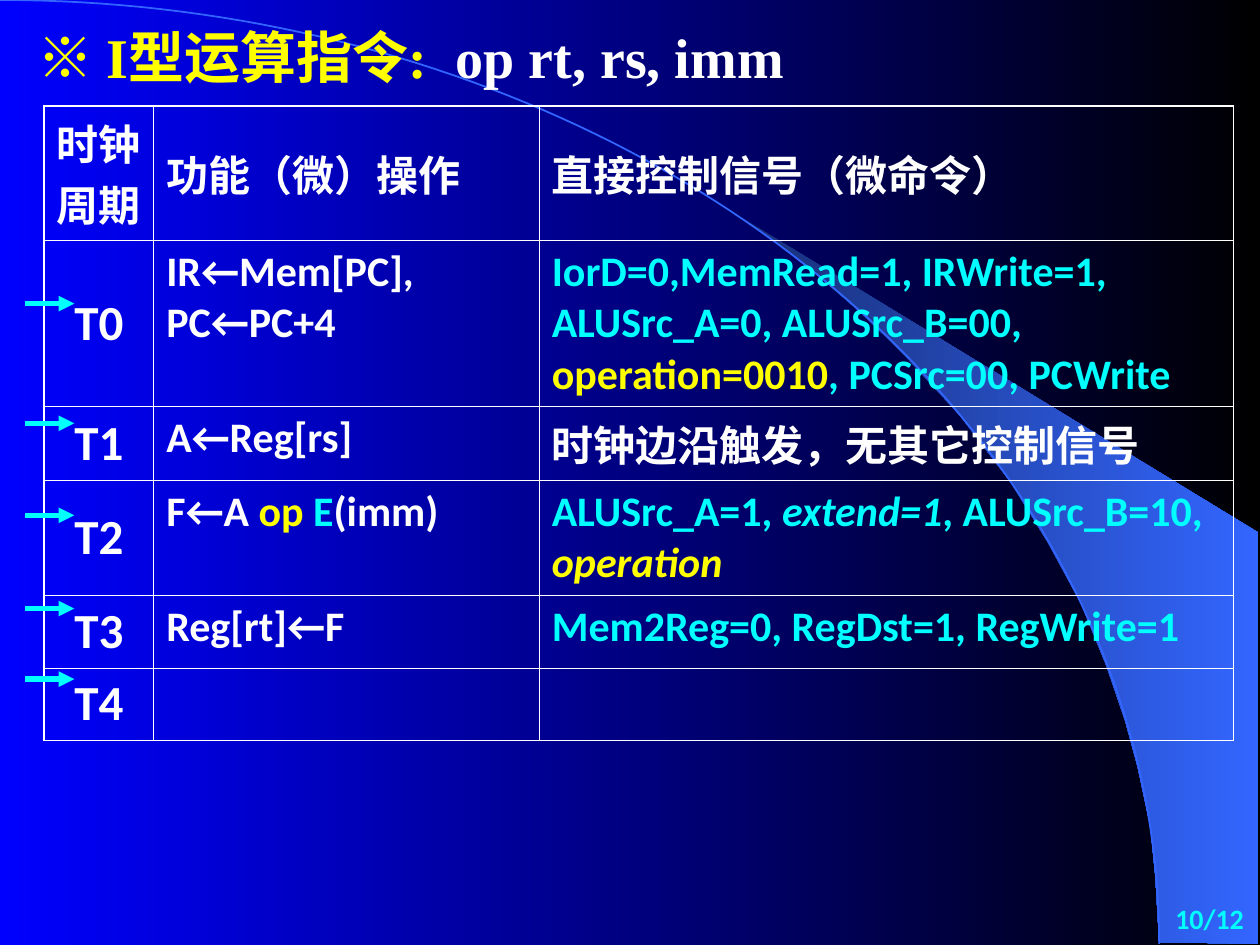
import math

from lxml import etree
from pptx import Presentation
from pptx.dml.color import RGBColor
from pptx.enum import shapes, text
from pptx.oxml.ns import qn
from pptx.util import Inches, Pt

WHITE = RGBColor(255, 255, 255)
CYAN = RGBColor(0, 255, 255)
YELLOW = RGBColor(255, 255, 0)
BLUE = RGBColor(0, 0, 255)
BLACK = RGBColor(0, 0, 0)
NAVY = RGBColor(0x18, 0x2F, 0x76)
AZURE = RGBColor(0x33, 0x66, 0xFF)
SERIF, SANS, CJK = "Times New Roman", "Calibri", "Noto Sans CJK SC"

COLUMNS = [0.87, 3.06, 5.51]
ROWS = [0.9, 1.3, 0.57, 0.9, 0.57, 0.57]
ARROW_HEIGHTS = [2.41, 3.36, 4.09, 4.83, 5.39]
ARC_WIDTH, ARC_HEIGHT = 9.2, 7.49
WEDGE = [(9.2, 7.48), (9.99, 7.49), (9.99, 4.23), (5.89, 1.73), (6.24, 1.99),
         (6.53, 2.22), (6.85, 2.5), (7.16, 2.8), (7.62, 3.3), (8.03, 3.84),
         (8.32, 4.31), (8.58, 4.79), (8.78, 5.28), (8.93, 5.72), (9.03, 6.09),
         (9.13, 6.56), (9.17, 6.96)]

# Each cell is a list of spans: (wording, colour, italic)
HEADER = [[("时钟周期", WHITE, False)], [("功能（微）操作", WHITE, False)],
          [("直接控制信号（微命令）", WHITE, False)]]
STEPS = [
    ([("IR←Mem[PC], PC←PC+4", WHITE, False)],
     [("IorD=0,MemRead=1, IRWrite=1, ALUSrc_A=0, ALUSrc_B=00, ", CYAN, False),
      ("operation=0010", YELLOW, False), (", PCSrc=00, PCWrite", CYAN, False)]),
    ([("A←Reg[rs]", WHITE, False)],
     [("时钟边沿触发，无其它控制信号", WHITE, False)]),
    ([("F←A ", WHITE, False), ("op ", YELLOW, False), ("E", CYAN, False),
      ("(imm)", WHITE, False)],
     [("ALUSrc_A=1, ", CYAN, False), ("extend=1", CYAN, True),
      (", ALUSrc_B=10, ", CYAN, False), ("operation", YELLOW, True)]),
    ([("Reg[rt]←F", WHITE, False)],
     [("Mem2Reg=0, RegDst=1, RegWrite=1", CYAN, False)]),
    ([], []),
]


def set_gradient(fill, first, last):
    """Fill from left to right with two colours."""
    fill.gradient()
    fill.gradient_angle = 0
    for stop, colour in zip(fill.gradient_stops, (first, last)):
        stop.color.rgb = colour


def set_borders(cell, widths):
    """Draw white left, right, top and bottom borders of the given widths."""
    properties = cell._tc.get_or_add_tcPr()
    for side, width in zip("LRTB", widths):
        line = etree.SubElement(properties, qn(f"a:ln{side}"), w=str(Pt(width)))
        solid = etree.SubElement(line, qn("a:solidFill"))
        etree.SubElement(solid, qn("a:srgbClr"), val=str(WHITE))


class SlideBuilder:
    """Holds the text style and the current slide."""

    def __init__(self, deck):
        """Add a title-only page with a gradient background."""
        self.page = deck.slides.add_slide(deck.slide_layouts[5])
        set_gradient(self.page.background.fill, BLUE, BLACK)

    def add_spans(self, para, spans, size, font, align=text.PP_ALIGN.LEFT, before=0):
        """Put bold coloured spans into a paragraph."""
        para.alignment = align
        para.space_before = Pt(before)
        para.font.size, para.font.name, para.font.bold = Pt(size), font, True
        for wording, colour, italic in spans:
            span = para.add_run()
            span.text = wording
            span.font.color.rgb = colour
            span.font.size, span.font.name, span.font.bold = Pt(size), font, True
            if italic:
                span.font.italic = True
            etree.SubElement(span._r.get_or_add_rPr(), qn("a:ea"), typeface=CJK)

    def outline(self, points, closed):
        """Draw a freeform through points given in inches."""
        spots = [(Inches(x), Inches(y)) for x, y in points]
        builder = self.page.shapes.build_freeform(*spots[0])
        builder.add_line_segments(spots[1:], close=closed)
        shape = builder.convert_to_shape()
        shape.shadow.inherit = False
        return shape

    def wedge(self, points):
        """Draw the gradient wedge on the right."""
        shape = self.outline(points, True)
        set_gradient(shape.fill, NAVY, AZURE)
        shape.line.fill.background()

    def arc(self, width, height, steps=90):
        """Draw a quarter ellipse from the top left to the bottom right."""
        angles = [math.pi / 2 * step / steps for step in range(steps + 1)]
        shape = self.outline([(width * math.sin(a), height * (1 - math.cos(a)))
                              for a in angles], False)
        shape.fill.background()
        shape.line.color.rgb = AZURE
        shape.line.width = Pt(1)

    def table(self, left, top, columns, rows, contents):
        """Draw the table of clock cycles."""
        frame = self.page.shapes.add_table(
            len(rows), len(columns), Inches(left), Inches(top),
            Inches(sum(columns)), Inches(sum(rows)))
        table = frame.table
        table.first_row = table.horz_banding = False
        for column, width in zip(table.columns, columns):
            column.width = Inches(width)
        for row, height in zip(table.rows, rows):
            row.height = Inches(height)
        last_row, last_column = len(rows) - 1, len(columns) - 1
        for r, row in enumerate(contents):
            for c, spans in enumerate(row):
                cell = table.cell(r, c)
                edges = (c == 0, c == last_column, r == 0, r == last_row)
                set_borders(cell, [1.08 if edge else 0.45 for edge in edges])
                cell.fill.background()
                middle = (c == 0) != (r == 0)
                cell.vertical_anchor = (text.MSO_ANCHOR.MIDDLE if middle
                                        else text.MSO_ANCHOR.TOP)
                step_name = c == 0 and r > 0
                self.add_spans(cell.text_frame.paragraphs[0], spans,
                               28 if step_name else 24, SANS if r else SERIF,
                               text.PP_ALIGN.LEFT if c else text.PP_ALIGN.CENTER,
                               7 if step_name else 6)

    def title(self, left, top, width, height):
        """Place and fill the title, in front of the background."""
        box = self.page.shapes.title
        self.page.shapes._spTree.append(box._element)
        box.left, box.top = Inches(left), Inches(top)
        box.width, box.height = Inches(width), Inches(height)
        frame = box.text_frame
        frame.vertical_anchor = text.MSO_ANCHOR.TOP
        frame.auto_size = text.MSO_AUTO_SIZE.NONE
        para = frame.paragraphs[0]
        self.add_spans(para, [("※ ", YELLOW, False)], 32, CJK)
        self.add_spans(para, [("I型运算指令:  ", YELLOW, False),
                              ("op rt, rs, imm", WHITE, False)], 32, SERIF)

    def arrow(self, left, right, y):
        """Draw a cyan arrow to the right."""
        arrow = self.page.shapes.add_connector(
            shapes.MSO_CONNECTOR.STRAIGHT, Inches(left), Inches(y),
            Inches(right), Inches(y))
        arrow.line.color.rgb = CYAN
        arrow.line.width = Pt(3)
        etree.SubElement(arrow.line._get_or_add_ln(), qn("a:tailEnd"),
                         type="triangle")
        etree.SubElement(arrow._element.spPr, qn("a:effectLst"))

    def page_number(self, left, top, width, height, wording):
        """Put the page number at the bottom right."""
        box = self.page.shapes.add_textbox(
            Inches(left), Inches(top), Inches(width), Inches(height))
        frame = box.text_frame
        frame.word_wrap = True
        frame.vertical_anchor = text.MSO_ANCHOR.MIDDLE
        self.add_spans(frame.paragraphs[0], [(wording, CYAN, False)], 16, SANS,
                       text.PP_ALIGN.RIGHT)


def main():
    """Build and save the deck."""
    deck = Presentation()
    deck.slide_width, deck.slide_height = Inches(10), Inches(7.5)
    builder = SlideBuilder(deck)
    builder.wedge(WEDGE)
    builder.arc(ARC_WIDTH, ARC_HEIGHT)
    steps = [[[(f"T{number}", WHITE, False)], *cells]
             for number, cells in enumerate(STEPS)]
    builder.table(0.35, 0.84, COLUMNS, ROWS, [HEADER, *steps])
    builder.title(0.2, 0.13, 7.81, 0.64)
    for y in ARROW_HEIGHTS:
        builder.arrow(0.2, 0.59, y)
    builder.page_number(8.79, 7.09, 1.18, 0.39, "10/12")
    deck.save("out.pptx")


main()
